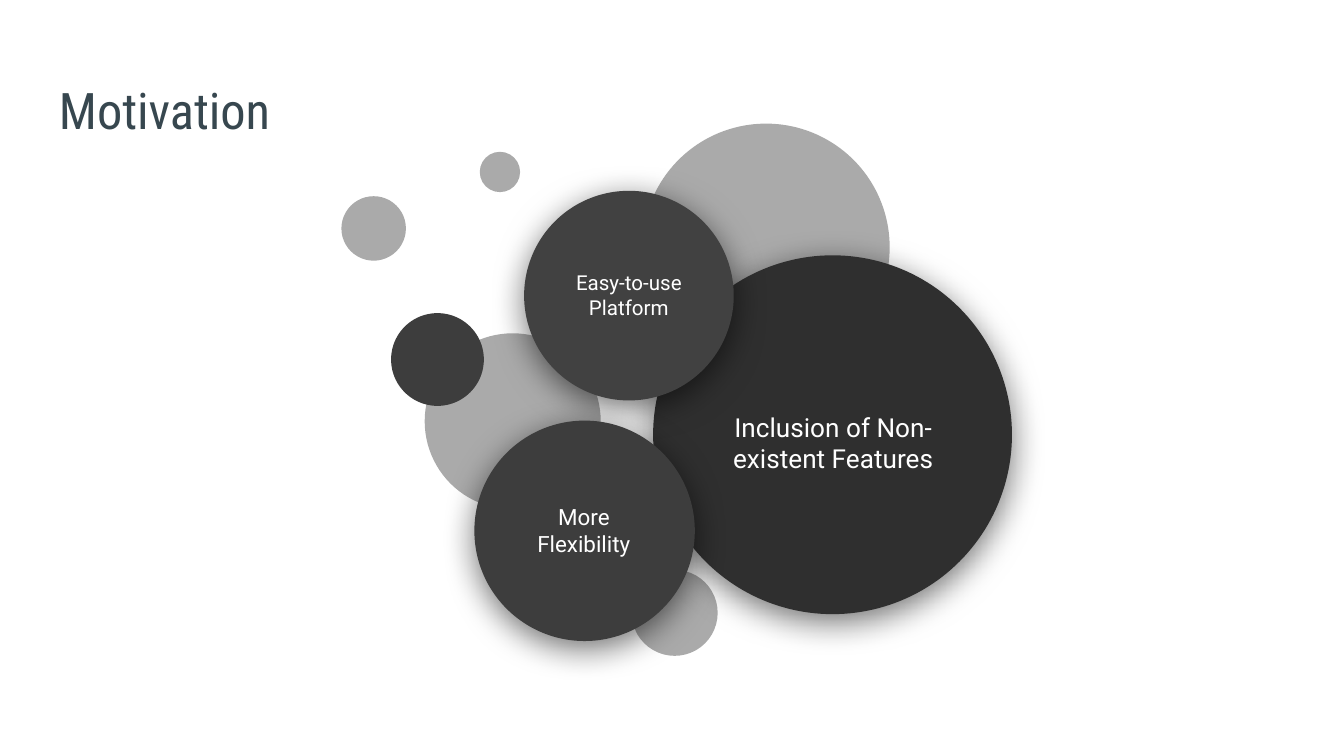
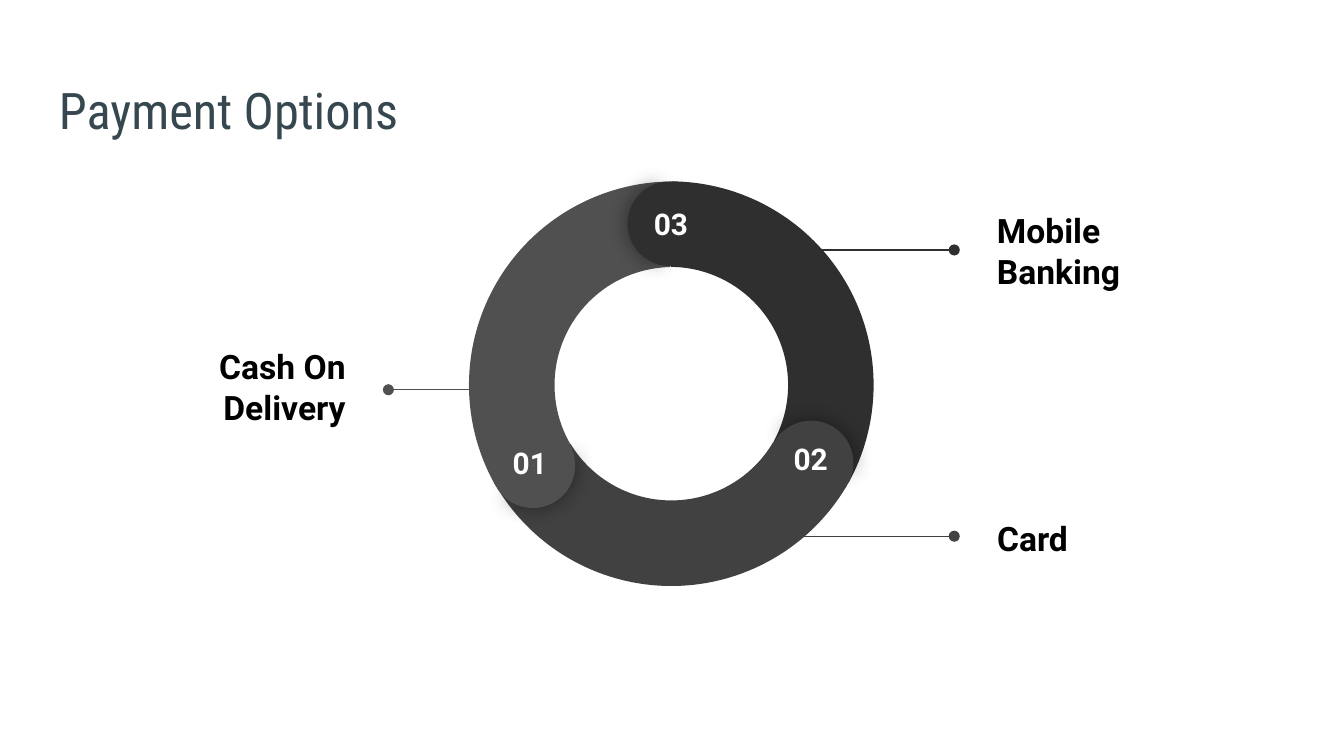
from lxml import etree
from pptx import Presentation
from pptx import util as u
from pptx.dml.color import RGBColor
from pptx.enum import shapes, text
from pptx.oxml.ns import qn

COLORS = {
    "title": "37474F",
    "text": "000000",
    "inverse": "FFFFFF",
    "pale": "AAAAAA",
    "darkest": "2F2F2F",
    "darker": "3D3D3D",
    "dark": "414141",
    "medium": "505050",
}
BODY_FONT, TITLE_FONT = "Roboto", "Roboto Condensed"
LEFT, CENTER, RIGHT = text.PP_ALIGN.LEFT, text.PP_ALIGN.CENTER, text.PP_ALIGN.RIGHT
TOP, MIDDLE = text.MSO_ANCHOR.TOP, text.MSO_ANCHOR.MIDDLE
OVAL = shapes.MSO_SHAPE.OVAL
ARC = shapes.MSO_SHAPE.BLOCK_ARC
PIE = shapes.MSO_SHAPE.PIE

# opacity %, blur pt, distance pt, direction in degrees
BUBBLE_SHADOW = (55, 18, 4, 90)
CAP_SHADOW = (43, 11.2, 0, 0)


def rgb(name):
    return RGBColor.from_string(COLORS[name])


class Deck:
    def __init__(self):
        self.prs = Presentation()
        self.prs.slide_width = u.Inches(10)
        self.prs.slide_height = u.Inches(10) * 9 // 16
        self.slide = None

    def new_slide(self, title):
        self.slide = self.prs.slides.add_slide(self.prs.slide_layouts[6])
        self.label(title, (0.34, 0.49, 9.32, 0.63), 27, "title", font=TITLE_FONT, anchor=TOP)

    def label(self, words, box, size, color="text", align=LEFT, bold=False,
              font=BODY_FONT, anchor=MIDDLE):
        frame = self.slide.shapes.add_textbox(*map(u.Inches, box)).text_frame
        frame.word_wrap = True
        frame.vertical_anchor = anchor
        frame.margin_left = frame.margin_right = u.Inches(0.1)
        frame.margin_top = frame.margin_bottom = u.Inches(0.1)
        paragraph = frame.paragraphs[0]
        paragraph.alignment = align
        run = paragraph.add_run()
        run.text = words
        run.font.name = font
        run.font.size = u.Pt(size)
        run.font.bold = bold
        run.font.color.rgb = rgb(color)

    def round_shape(self, kind, left, top, size, color, rotation=0, adjust=(), shadow=None):
        shape = self.slide.shapes.add_shape(kind, *map(u.Inches, (left, top, size, size)))
        shape.rotation = rotation
        for i, value in enumerate(adjust):
            shape.adjustments[i] = value
        shape.fill.solid()
        shape.fill.fore_color.rgb = rgb(color)
        shape.line.fill.background()
        shape.shadow.inherit = False
        if shadow:
            self.cast_shadow(shape, *shadow)

    def cast_shadow(self, shape, opacity, blur, distance, direction):
        effects = shape._element.spPr.find(qn("a:effectLst"))
        outer = etree.SubElement(
            effects, qn("a:outerShdw"), blurRad=str(u.Pt(blur)), dist=str(u.Pt(distance)),
            dir=str(direction * 60000), algn="ctr", rotWithShape="0")
        tint = etree.SubElement(outer, qn("a:srgbClr"), val=COLORS["text"])
        etree.SubElement(tint, qn("a:alpha"), val=str(opacity * 1000))

    def pointer(self, start, end, y, color):
        """Horizontal line with a dot at its end."""
        line = self.slide.shapes.add_connector(
            shapes.MSO_CONNECTOR.STRAIGHT, *map(u.Inches, (start, y, end, y)))
        line.line.color.rgb = rgb(color)
        line.line.width = u.Pt(0.75)
        properties = line._element.spPr
        etree.SubElement(properties.find(qn("a:ln")), qn("a:tailEnd"), type="oval")
        etree.SubElement(properties, qn("a:effectLst"))


def motivation(deck):
    deck.new_slide("Motivation")
    for left, top, size, color in [
        (4.7, 4.24, 0.64, "pale"),
        (2.54, 1.46, 0.48, "pale"),
        (3.16, 2.48, 1.31, "pale"),
        (4.78, 0.92, 1.84, "pale"),
        (2.91, 2.33, 0.69, "darker"),
        (3.57, 1.13, 0.3, "pale"),
    ]:
        deck.round_shape(OVAL, left, top, size, color)

    for reason, bubble, box, size in [
        ("Inclusion of Non-existent Features", (4.86, 1.9, 2.67, "darkest"),
         (5.18, 2.66, 2.04, 1.27), 14),
        ("Easy-to-use Platform", (3.9, 1.42, 1.56, "dark"), (4.15, 1.68, 1.06, 1.03), 11),
        ("More Flexibility", (3.53, 3.13, 1.64, "darker"), (3.76, 3.43, 1.17, 1.03), 12),
    ]:
        deck.round_shape(OVAL, *bubble, shadow=BUBBLE_SHADOW)
        deck.label(reason, box, size, "inverse", CENTER)


def payment_options(deck):
    deck.new_slide("Payment Options")
    for option, box, align, pointer in [
        ("Cash On Delivery", (0.73, 2.17, 1.94, 1.41), RIGHT, (3.58, 2.89, 2.9, "medium")),
        ("Mobile Banking", (7.32, 1.16, 1.67, 1.41), LEFT, (5.7, 7.1, 1.86, "darkest")),
        ("Card", (7.32, 3.3, 2.32, 1.41), LEFT, (5.7, 7.1, 3.99, "dark")),
    ]:
        deck.label(option, box, 18, align=align, bold=True)
        deck.pointer(*pointer)

    # number, its corner, color, arc rotation, arc corner, cap corner
    segments = [
        ("03 ", (4.74, 1.43), "darkest", 60, (3.47, 1.35), (4.67, 1.35)),
        ("02 ", (5.78, 3.18), "dark", 180, (3.48, 1.33), (5.72, 3.13)),
        ("01 ", (3.69, 3.21), "medium", 300, (3.49, 1.35), (3.65, 3.15)),
    ]
    for _, _, color, turn, arc, _ in segments:
        deck.round_shape(ARC, *arc, 3.03, color, turn, (126.23, 197.2, 0.21))
    for _, _, color, turn, _, cap in segments:
        deck.round_shape(PIE, *cap, 0.63, color, turn - 59.3, (61.9, 149.96), CAP_SHADOW)
        deck.round_shape(PIE, *cap, 0.63, color, (turn + 120) % 360, (40.28, 171.84))
    for number, corner, *_ in segments:
        deck.label(number, (*corner, 0.56, 0.29), 16, "inverse", CENTER,
                   bold=True, anchor=TOP)


def main():
    deck = Deck()
    motivation(deck)
    payment_options(deck)
    deck.prs.save("out.pptx")


if __name__ == "__main__":
    main()
